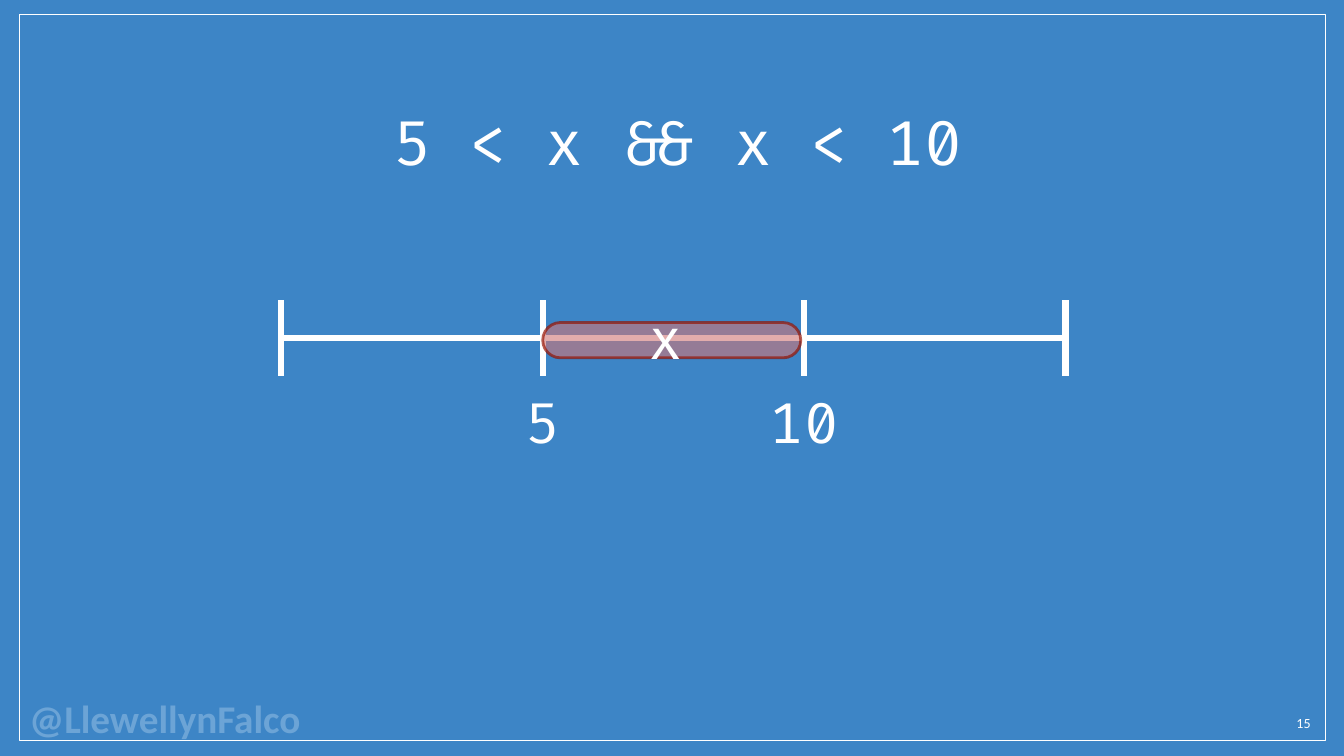
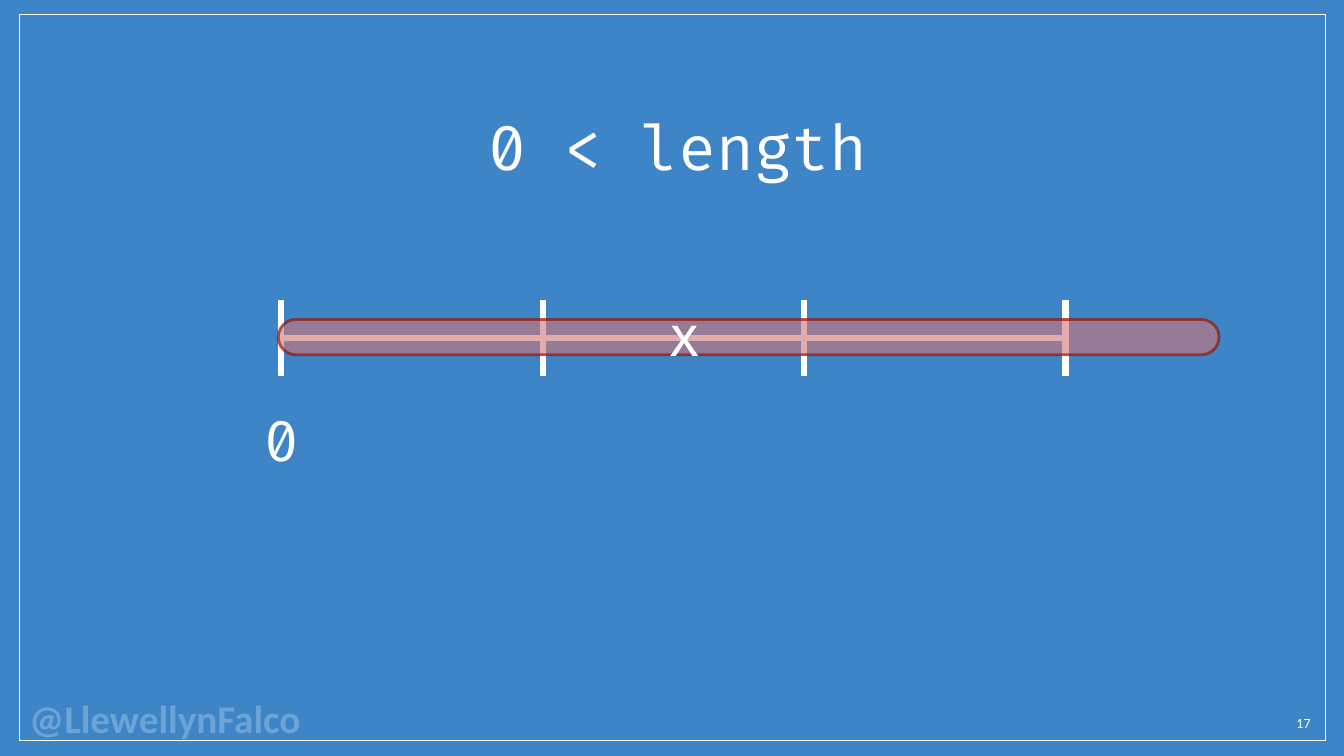
from dataclasses import dataclass

from lxml.etree import SubElement
from pptx import Presentation
from pptx.dml.color import RGBColor as Color
from pptx.enum.shapes import MSO_CONNECTOR as Connector, MSO_SHAPE as Preset
from pptx.enum.text import MSO_ANCHOR as Anchor, MSO_AUTO_SIZE as AutoSize, PP_ALIGN as Align
from pptx.oxml.ns import qn
from pptx.util import Inches, Pt


@dataclass(frozen=True)
class Theme:
    background: str = "3D85C6"
    ink: str = "FFFFFF"
    handle: str = "6CA4D6"
    range_fill: str = "D07576"
    range_line: str = "941100"
    range_fill_alpha: int = 60
    range_line_alpha: int = 67
    code_font: str = "Fira Code"
    text_font: str = "Calibri"
    title_size: int = 44
    label_size: int = 40
    handle_size: int = 28
    number_size: int = 10
    frame_width: float = 0.75
    axis_width: float = 4.5
    range_width: float = 2


class IntervalDeck:
    TICKS = [20.93 + 19.45 * index for index in range(4)]
    AXIS_START = 20.7
    AXIS_Y = 44.73
    TICK_REACH = 5
    LABEL_WIDTH = 7.88
    LABEL_HEIGHT = 11.33
    RANGE_HEIGHT = 4.67
    VARIABLE_RISE = 6.2

    def __init__(self, theme):
        self.theme = theme
        self.presentation = Presentation()
        self.presentation.slide_width = Inches(13.33)
        self.presentation.slide_height = Inches(7.5)
        fill = self.presentation.slide_master.background.fill
        fill.solid()
        fill.fore_color.rgb = Color.from_string(theme.background)
        self.slide = None

    def across(self, percent):
        return round(self.presentation.slide_width * percent / 100)

    def down(self, percent):
        return round(self.presentation.slide_height * percent / 100)

    def box(self, left, top, width, height):
        return self.across(left), self.down(top), self.across(width), self.down(height)

    def outline(self, shape, color, width):
        shape.line.color.rgb = Color.from_string(color)
        shape.line.width = Pt(width)

    def fade(self, properties, percent):
        color = properties.find(qn("a:solidFill"))[0]
        SubElement(color, qn("a:alpha")).set("val", str(percent * 1000))

    def set_text(self, shape, text, font, size, color, align, inset=0.1, bold=False):
        frame = shape.text_frame
        frame.text = text
        frame.word_wrap = True
        frame.auto_size = AutoSize.NONE
        frame.vertical_anchor = Anchor.TOP
        frame.margin_left = frame.margin_right = Inches(0.1)
        frame.margin_top = frame.margin_bottom = Inches(inset)
        paragraph = frame.paragraphs[0]
        paragraph.alignment = align
        paragraph.font.name = font
        paragraph.font.size = Pt(size)
        paragraph.font.bold = bold
        paragraph.font.color.rgb = Color.from_string(color)

    def add_slide(self, title, title_top, number):
        theme = self.theme
        layout = self.presentation.slide_layouts[5]
        self.slide = self.presentation.slides.add_slide(layout)
        self.add_frame()
        self.add_handle()
        self.add_number(number)
        heading = self.slide.shapes.title
        heading.left, heading.top, heading.width, heading.height = self.box(
            20.93, title_top, 59.12, self.LABEL_HEIGHT)
        self.set_text(heading, title, theme.code_font, theme.title_size, theme.ink, Align.CENTER)

    def add_frame(self):
        frame = self.slide.shapes.add_shape(Preset.RECTANGLE, *self.box(1.43, 1.87, 97.22, 96.13))
        frame.shadow.inherit = False
        frame.fill.background()
        self.outline(frame, self.theme.ink, self.theme.frame_width)

    def add_handle(self):
        theme = self.theme
        handle = self.slide.shapes.add_textbox(*self.box(1.43, 91.2, 28, 7.6))
        self.set_text(handle, "@LlewellynFalco", theme.text_font, theme.handle_size,
                      theme.handle, Align.LEFT, inset=0.05, bold=True)

    def add_number(self, number):
        theme = self.theme
        number_box = self.slide.shapes.add_textbox(*self.box(93.25, 93.2, 5, 5.7))
        self.set_text(number_box, str(number), theme.text_font, theme.number_size,
                      theme.ink, Align.RIGHT)

    def add_line(self, x1, y1, x2, y2):
        line = self.slide.shapes.add_connector(
            Connector.STRAIGHT, self.across(x1), self.down(y1), self.across(x2), self.down(y2))
        self.outline(line, self.theme.ink, self.theme.axis_width)
        SubElement(line._element.spPr, qn("a:effectLst"))

    def add_axis(self):
        self.add_line(self.AXIS_START, self.AXIS_Y, self.TICKS[-1], self.AXIS_Y)
        for x in self.TICKS:
            self.add_line(x, self.AXIS_Y - self.TICK_REACH, x, self.AXIS_Y + self.TICK_REACH)

    def add_label(self, text, center, top):
        theme = self.theme
        label = self.slide.shapes.add_textbox(
            *self.box(center - self.LABEL_WIDTH / 2, top, self.LABEL_WIDTH, self.LABEL_HEIGHT))
        self.set_text(label, text, theme.code_font, theme.label_size, theme.ink, Align.CENTER)

    def add_range(self, left, width, middle, variable_center):
        theme = self.theme
        bar = self.slide.shapes.add_shape(
            Preset.ROUNDED_RECTANGLE,
            *self.box(left, middle - self.RANGE_HEIGHT / 2, width, self.RANGE_HEIGHT))
        bar.adjustments[0] = 0.5
        bar.shadow.inherit = False
        bar.fill.solid()
        bar.fill.fore_color.rgb = Color.from_string(theme.range_fill)
        self.outline(bar, theme.range_line, theme.range_width)
        properties = bar._element.spPr
        self.fade(properties, theme.range_fill_alpha)
        self.fade(properties.find(qn("a:ln")), theme.range_line_alpha)
        self.add_label("x", variable_center, middle - self.VARIABLE_RISE)


def main():
    deck = IntervalDeck(Theme())

    deck.add_slide("5 < x && x < 10", 12.4, 15)
    deck.add_axis()
    deck.add_label("5", deck.TICKS[1], 49.87)
    deck.add_label("10", deck.TICKS[2], 49.87)
    deck.add_range(deck.TICKS[1], 19.2, 45, 49.55)

    deck.add_slide("0 < length", 13.07, 17)
    deck.add_axis()
    deck.add_label("0", deck.TICKS[0], 52.27)
    deck.add_range(deck.AXIS_START, 70, 44.6, 50.98)

    deck.presentation.save("out.pptx")


if __name__ == "__main__":
    main()
